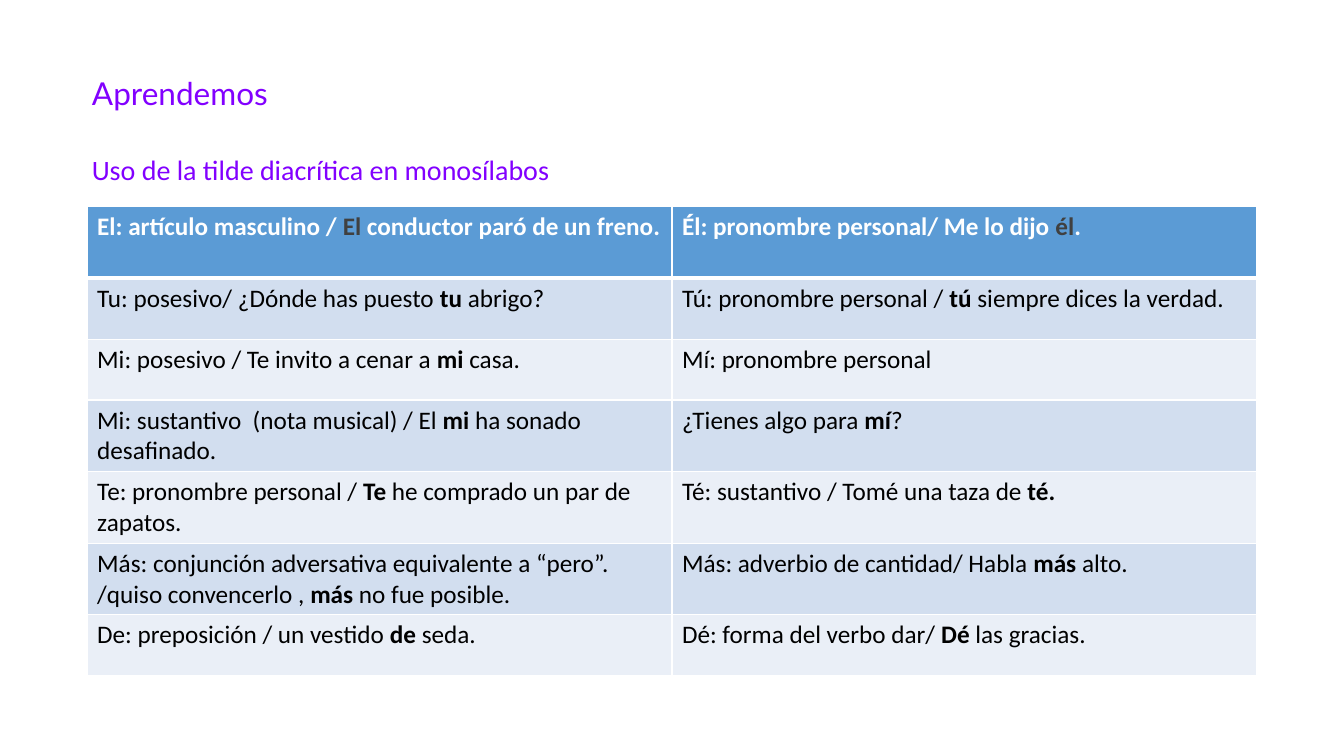
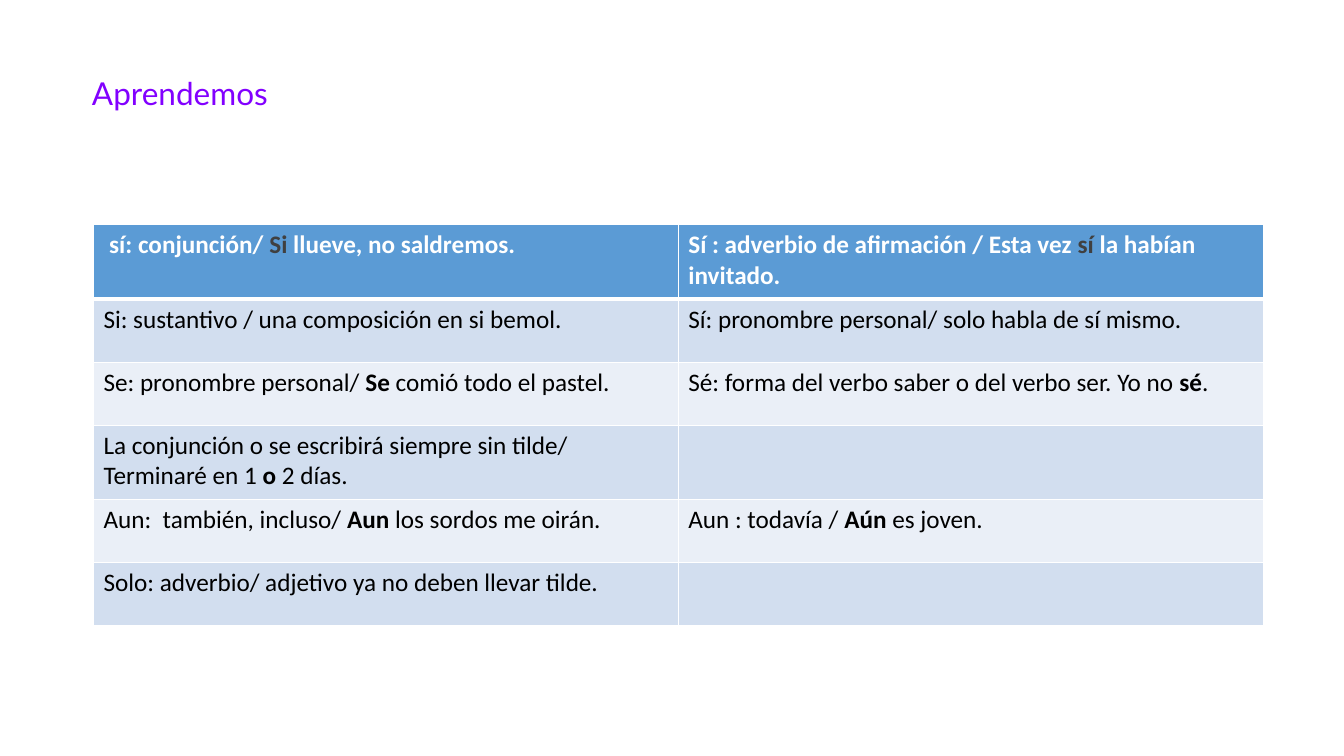
"""Builds two slides on the diacritical accent in Spanish monosyllables."""
from lxml import etree
from pptx import Presentation
from pptx.dml.color import RGBColor
from pptx.enum.text import MSO_ANCHOR as Anchor, MSO_AUTO_SIZE as AutoSize, PP_ALIGN as Align
from pptx.oxml.ns import qn
from pptx.util import Pt

PX = 9525
VIOLET = RGBColor(0x82, 0x00, 0xFF)
WHITE = RGBColor(0xFF, 0xFF, 0xFF)
BLACK = RGBColor(0x00, 0x00, 0x00)
GRAY = RGBColor(0x40, 0x40, 0x40)
HEADER_BLUE = RGBColor(0x5B, 0x9B, 0xD5)
BANDS = [RGBColor(0xEA, 0xEF, 0xF7), RGBColor(0xD2, 0xDE, 0xEF)]
BODY_FONT = "Calibri"
TEXT_LEFT = 78
COLUMN_WIDTH = 557

# Asterisks enclose the emphasised word of each example.
LESSONS = [
    {
        "subtitle": "Uso de la tilde diacrítica en monosílabos",
        "corner": (83, 197),
        "heights": [68, 58, 58, 58, 58, 58, 58],
        "rows": [
            ("El: artículo masculino / *El *conductor paró de un freno.",
             "Él: pronombre personal/ Me lo dijo *él*."),
            ("Tu: posesivo/ ¿Dónde has puesto *tu* abrigo?",
             "Tú: pronombre personal / *tú* siempre dices la verdad."),
            ("Mi: posesivo / Te invito a cenar a *mi *casa.",
             "Mí: pronombre personal"),
            ("Mi: sustantivo  (nota musical) / El *mi* ha sonado desafinado.",
             "¿Tienes algo para *mí*?"),
            ("Te: pronombre personal / *Te* he comprado un par de zapatos.",
             "Té: sustantivo / Tomé una taza de* té.*"),
            ("Más: conjunción adversativa equivalente a “pero”. "
             "/quiso convencerlo , *más* no fue posible.",
             "Más: adverbio de cantidad/ Habla* más *alto."),
            ("De: preposición / un vestido *de *seda.",
             "Dé: forma del verbo dar/ *Dé* las gracias."),
        ],
    },
    {
        "subtitle": None,
        "corner": (89, 214),
        "heights": [71, 60, 60, 71, 60, 60],
        "rows": [
            (" sí: conjunción/* Si *llueve, no saldremos.",
             "Sí : adverbio de afirmación / Esta vez* sí *la habían invitado."),
            ("Si: sustantivo / una composición en si bemol.",
             "Sí: pronombre personal/ solo habla de sí mismo."),
            ("Se: pronombre personal/ *Se *comió todo el pastel.",
             "Sé: forma del verbo saber o del verbo ser. Yo no *sé*."),
            ("La conjunción o se escribirá siempre sin tilde/ Terminaré en 1* o *2 días.",
             ""),
            ("Aun:  también, incluso/* Aun *los sordos me oirán.",
             "Aun : todavía / *Aún* es joven."),
            ("Solo: adverbio/ adjetivo ya no deben llevar tilde.", ""),
        ],
    },
]


def style_heading(box, text, size, font, anchor):
    frame = box.text_frame
    frame.text = text
    frame.word_wrap = True
    frame.auto_size = AutoSize.NONE
    frame.vertical_anchor = anchor
    para = frame.paragraphs[0]
    para.alignment = Align.LEFT
    para.line_spacing = 0.9
    span = para.runs[0]
    span.font.size = Pt(size)
    span.font.name = font
    span.font.color.rgb = VIOLET


def fill_cell(cell, text, row):
    properties = cell._tc.get_or_add_tcPr()
    widths = {"a:lnL": 1, "a:lnR": 1, "a:lnT": 3 if row == 1 else 1, "a:lnB": 3 if row == 0 else 1}
    for side, width in widths.items():
        line = etree.SubElement(properties, qn(side), w=str(Pt(width)))
        solid = etree.SubElement(line, qn("a:solidFill"))
        etree.SubElement(solid, qn("a:srgbClr"), val=str(WHITE))
    cell.fill.solid()
    cell.fill.fore_color.rgb = HEADER_BLUE if row == 0 else BANDS[row % 2]
    para = cell.text_frame.paragraphs[0]
    para.font.size = Pt(18)
    for index, part in enumerate(text.split("*")):
        if part:
            emphasised = index % 2 == 1
            span = para.add_run()
            span.text = part
            span.font.size = Pt(18)
            span.font.name = BODY_FONT
            span.font.bold = row == 0 or emphasised
            if row == 0:
                span.font.color.rgb = GRAY if emphasised else WHITE
            else:
                span.font.color.rgb = BLACK


deck = Presentation()
deck.slide_width = 1280 * PX
deck.slide_height = 720 * PX

for lesson in LESSONS:
    page = deck.slides.add_slide(deck.slide_layouts[5])
    title = page.shapes.title
    title.left, title.top, title.width, title.height = TEXT_LEFT * PX, 70 * PX, 1126 * PX, 40 * PX
    style_heading(title, "Aprendemos", 22.5, "Lato", Anchor.TOP)

    if lesson["subtitle"]:
        subtitle = page.shapes.add_textbox(TEXT_LEFT * PX, 135 * PX, 527 * PX, 57 * PX)
        style_heading(subtitle, lesson["subtitle"], 20, BODY_FONT, Anchor.MIDDLE)

    left, top = lesson["corner"]
    heights = lesson["heights"]
    table = page.shapes.add_table(len(heights), 2, left * PX, top * PX,
                                  2 * COLUMN_WIDTH * PX, sum(heights) * PX).table
    for column in table.columns:
        column.width = COLUMN_WIDTH * PX
    for row, (height, texts) in enumerate(zip(heights, lesson["rows"])):
        table.rows[row].height = height * PX
        for column, text in enumerate(texts):
            fill_cell(table.cell(row, column), text, row)

deck.save("out.pptx")
